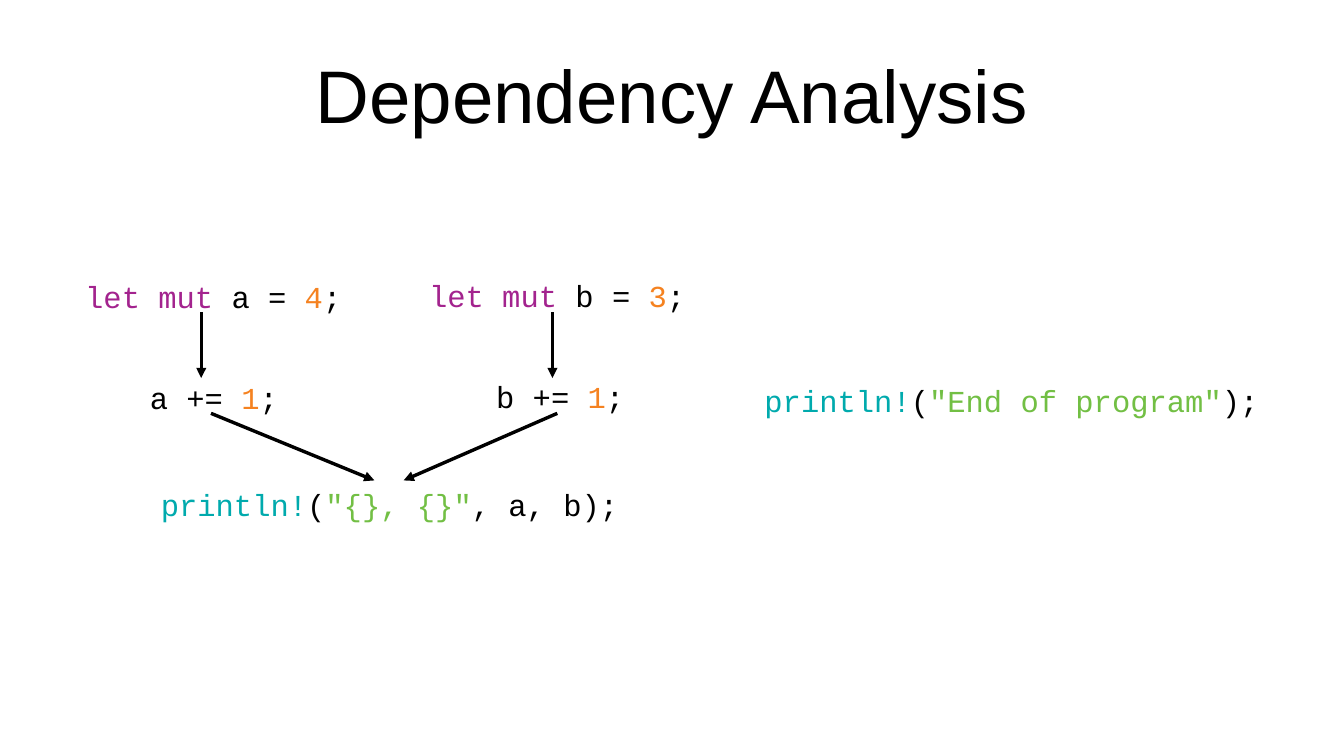
from dataclasses import dataclass

from lxml import etree
from pptx import Presentation
from pptx import util as u
from pptx.dml.color import RGBColor
from pptx.enum import shapes, text
from pptx.oxml import ns
from pptx.slide import Slide

COLORS = {
    "plain": "000000",
    "keyword": "A3238E",
    "number": "F58220",
    "macro": "00AAAD",
    "string": "72BF44",
    "background": "FFFFFF",
}
TOP = text.MSO_ANCHOR.TOP
MIDDLE = text.MSO_ANCHOR.MIDDLE
DECLARE_TOP, INCREMENT_TOP, PRINT_TOP = 2.23, 3.06, 3.94
LINE_HEIGHT = 0.38


@dataclass(frozen=True)
class Token:
    words: str
    color: str = "plain"


@dataclass(frozen=True)
class Statement:
    left: float
    top: float
    width: float
    tokens: tuple[Token, ...]
    anchor: text.MSO_ANCHOR = TOP


@dataclass(frozen=True)
class Dependency:
    start: tuple[float, float]
    end: tuple[float, float]


def declaration(name: str, value: str) -> tuple[Token, ...]:
    return (Token("let mut", "keyword"), Token(f" {name} = "),
            Token(value, "number"), Token(";"))


def increment(name: str) -> tuple[Token, ...]:
    return Token(f"{name} += "), Token("1", "number"), Token(";")


def print_call(string: str, ending: str) -> tuple[Token, ...]:
    return (Token("println!", "macro"), Token("("),
            Token(string, "string"), Token(ending))


STATEMENTS = (
    Statement(6.17, 3.08, 4.3, print_call('"End of program"', ");")),
    Statement(0.6, DECLARE_TOP, 2.35, declaration("a", "4")),
    Statement(1.13, INCREMENT_TOP, 1.28, increment("a")),
    Statement(3.42, DECLARE_TOP, 2.44, declaration("b", "3"), MIDDLE),
    Statement(3.97, INCREMENT_TOP, 1.34, increment("b"), MIDDLE),
    Statement(1.22, PRINT_TOP, 4.02, print_call('"{}, {}"', ", a, b);")),
)
DEPENDENCIES = (
    Dependency((1.73, 3.39), (3.07, PRINT_TOP)),
    Dependency((4.57, 3.39), (3.31, PRINT_TOP)),
    Dependency((1.65, 2.56), (1.65, 3.1)),
    Dependency((4.53, 2.56), (4.53, 3.1)),
)


def rgb(color: str) -> RGBColor:
    return RGBColor.from_string(COLORS[color])


def add_title(page: Slide, words: str) -> None:
    box = page.shapes.add_textbox(
        u.Inches(0.55), u.Inches(0.25), u.Inches(9.92), u.Inches(1.04))
    frame = box.text_frame
    frame.margin_left = frame.margin_right = u.Inches(0)
    frame.margin_top = frame.margin_bottom = u.Inches(0)
    frame.word_wrap = True
    frame.vertical_anchor = MIDDLE
    frame.text = words
    para = frame.paragraphs[0]
    para.alignment = text.PP_ALIGN.CENTER
    font = para.runs[0].font
    font.name, font.size = "Arial", u.Pt(44)
    font.color.rgb = rgb("plain")


def add_statement(page: Slide, statement: Statement) -> None:
    box = page.shapes.add_textbox(
        u.Inches(statement.left), u.Inches(statement.top),
        u.Inches(statement.width), u.Inches(LINE_HEIGHT))
    frame = box.text_frame
    frame.word_wrap = True
    frame.vertical_anchor = statement.anchor
    para = frame.paragraphs[0]
    for token in statement.tokens:
        span = para.add_run()
        span.text = token.words
        span.font.name, span.font.size = "Courier New", u.Pt(18)
        span.font.color.rgb = rgb(token.color)


def add_dependency(page: Slide, dependency: Dependency) -> None:
    arrow = page.shapes.add_connector(
        shapes.MSO_CONNECTOR.STRAIGHT,
        *(u.Inches(length) for length in dependency.start + dependency.end))
    arrow.line.color.rgb = rgb("plain")
    arrow.line.width = u.Pt(0)
    outline = arrow.line._get_or_add_ln()
    etree.SubElement(outline, ns.qn("a:tailEnd"), type="triangle")
    etree.SubElement(arrow._element.spPr, ns.qn("a:effectLst"))


def main() -> None:
    deck = Presentation()
    deck.slide_width, deck.slide_height = u.Inches(11.02), u.Inches(6.2)
    page = deck.slides.add_slide(deck.slide_layouts[6])
    page.background.fill.solid()
    page.background.fill.fore_color.rgb = rgb("background")
    add_title(page, "Dependency Analysis")
    for statement in STATEMENTS:
        add_statement(page, statement)
    for dependency in DEPENDENCIES:
        add_dependency(page, dependency)
    deck.save("out.pptx")


if __name__ == "__main__":
    main()
